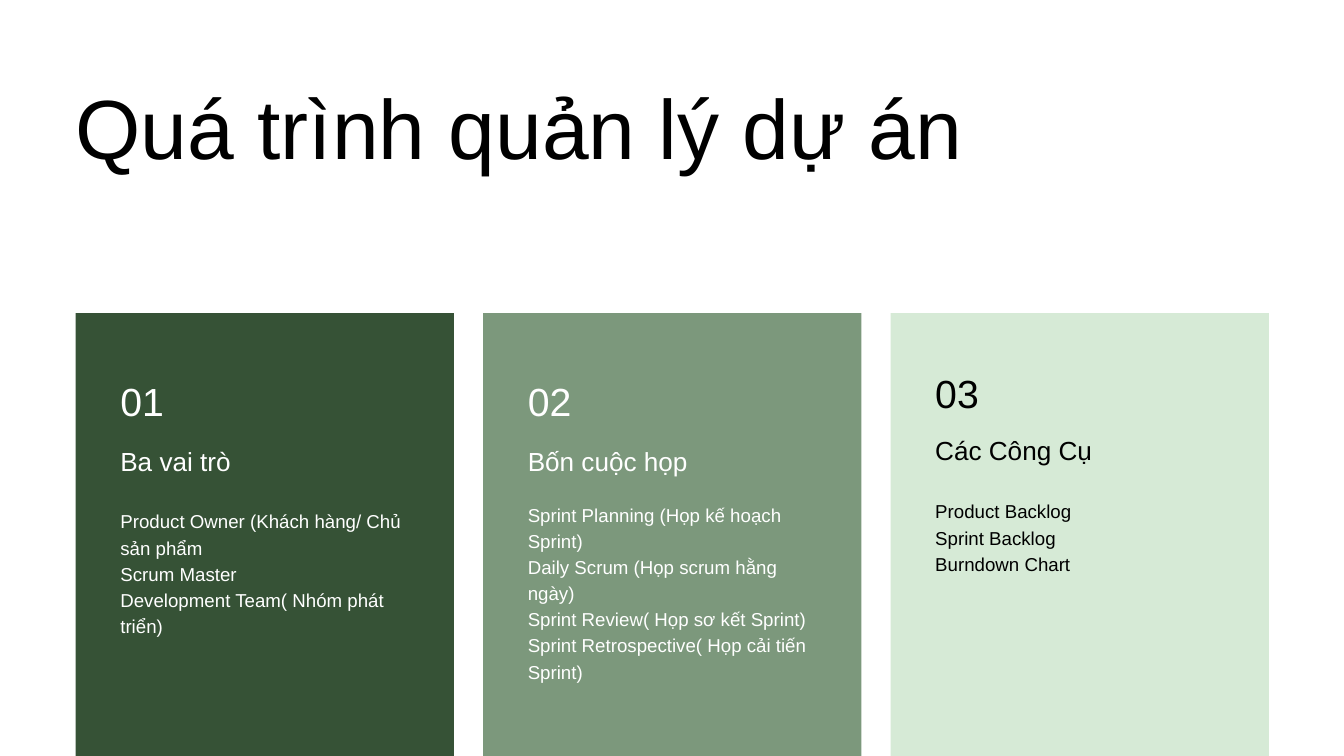
from dataclasses import dataclass

import pptx
import pptx.dml.color
import pptx.enum.shapes
import pptx.enum.text
import pptx.util

Cm = pptx.util.Cm
Pt = pptx.util.Pt


@dataclass(frozen=True)
class Theme:
    """Hold the colours, the font and the (size, line spacing) pairs in points."""
    font: str = "Arial"
    black: str = "000000"
    white: str = "FFFFFF"
    dark: str = "365236"
    sage: str = "7C987C"
    mint: str = "D6EAD6"
    title: tuple = (90, 108)
    number: tuple = (42, 50.4)
    heading: tuple = (28, 33.6)
    body: tuple = (20, 28)


class Deck:
    """Draw styled elements on the current slide."""

    def __init__(self, prs, theme):
        """Add a title-only slide to the presentation."""
        self.theme = theme
        self.s = prs.slides.add_slide(prs.slide_layouts[5])
        self.s.background.fill.solid()
        self.s.background.fill.fore_color.rgb = self.rgb(theme.white)

    def rgb(self, color):
        """Turn a hex string into a colour."""
        return pptx.dml.color.RGBColor.from_string(color)

    def set_text(self, sp, lines, style, color):
        """Fill a text shape with one paragraph per line."""
        size, spacing = style
        tf = sp.text_frame
        tf.word_wrap = True
        tf.auto_size = pptx.enum.text.MSO_AUTO_SIZE.SHAPE_TO_FIT_TEXT
        tf.vertical_anchor = pptx.enum.text.MSO_ANCHOR.TOP
        tf.margin_left = tf.margin_right = tf.margin_top = tf.margin_bottom = 0
        for i, line in enumerate(lines):
            p = tf.add_paragraph() if i else tf.paragraphs[0]
            p.alignment = pptx.enum.text.PP_ALIGN.LEFT
            p.line_spacing = Pt(spacing)
            r = p.add_run()
            r.text = line
            r.font.name = self.theme.font
            r.font.size = Pt(size)
            r.font.color.rgb = self.rgb(color)

    def title(self, text, x, y, w, h):
        """Place and format the title placeholder."""
        sp = self.s.shapes.title
        sp.left, sp.top, sp.width, sp.height = Cm(x), Cm(y), Cm(w), Cm(h)
        self.set_text(sp, [text], self.theme.title, self.theme.black)

    def text(self, shapes, lines, x, y, w, h, style, color):
        """Add a text box."""
        sp = shapes.add_textbox(Cm(x), Cm(y), Cm(w), Cm(h))
        self.set_text(sp, lines, style, color)

    def panel(self, shapes, x, y, w, h, fill):
        """Add a plain filled rectangle."""
        kind = pptx.enum.shapes.MSO_SHAPE.RECTANGLE
        sp = shapes.add_shape(kind, Cm(x), Cm(y), Cm(w), Cm(h))
        sp.shadow.inherit = False
        sp.fill.solid()
        sp.fill.fore_color.rgb = self.rgb(fill)
        sp.line.fill.background()

    def card(self, x, h, fill, color, number, heading, body, tops, body_h):
        """Add a grouped card with its number, heading and body."""
        t = self.theme
        shapes = self.s.shapes.add_group_shape().shapes
        self.panel(shapes, x, 11.84, 14.3, h, fill)
        parts = (([number], 1.78, t.number), ([heading], 1.17, t.heading),
                 (body, body_h, t.body))
        for (lines, height, style), top in zip(parts, tops):
            self.text(shapes, lines, x + 1.69, top, 10.92, height, style, color)


def main():
    """Build the slide and save it."""
    prs = pptx.Presentation()
    prs.slide_width, prs.slide_height = Cm(50.8), Cm(28.58)
    t = Theme()
    deck = Deck(prs, t)
    deck.title("Quá trình quản lý dự án", 2.86, 2.86, 37.34, 3.81)
    cards = [
        (16.74, t.dark, t.white, "01", "Ba vai trò",
         ["Product Owner (Khách hàng/ Chủ sản phẩm", "Scrum Master",
          "Development Team( Nhóm phát triển)"],
         (14.27, 16.84, 19.15), 4.85),
        (18.54, t.sage, t.white, "02", "Bốn cuộc họp",
         ["Sprint Planning (Họp kế hoạch Sprint)",
          "Daily Scrum (Họp scrum hằng ngày)",
          "Sprint Review( Họp sơ kết Sprint)",
          "Sprint Retrospective( Họp cải tiến Sprint)"],
         (14.27, 16.84, 18.9), 6.81),
        (19.38, t.mint, t.black, "03", "Các Công Cụ",
         ["Product Backlog", "Sprint Backlog", "Burndown Chart"],
         (13.97, 16.43, 18.77), 2.92),
    ]
    for i, card in enumerate(cards):
        deck.card(2.86 + 15.4 * i, *card)
    prs.save("out.pptx")


if __name__ == "__main__":
    main()
